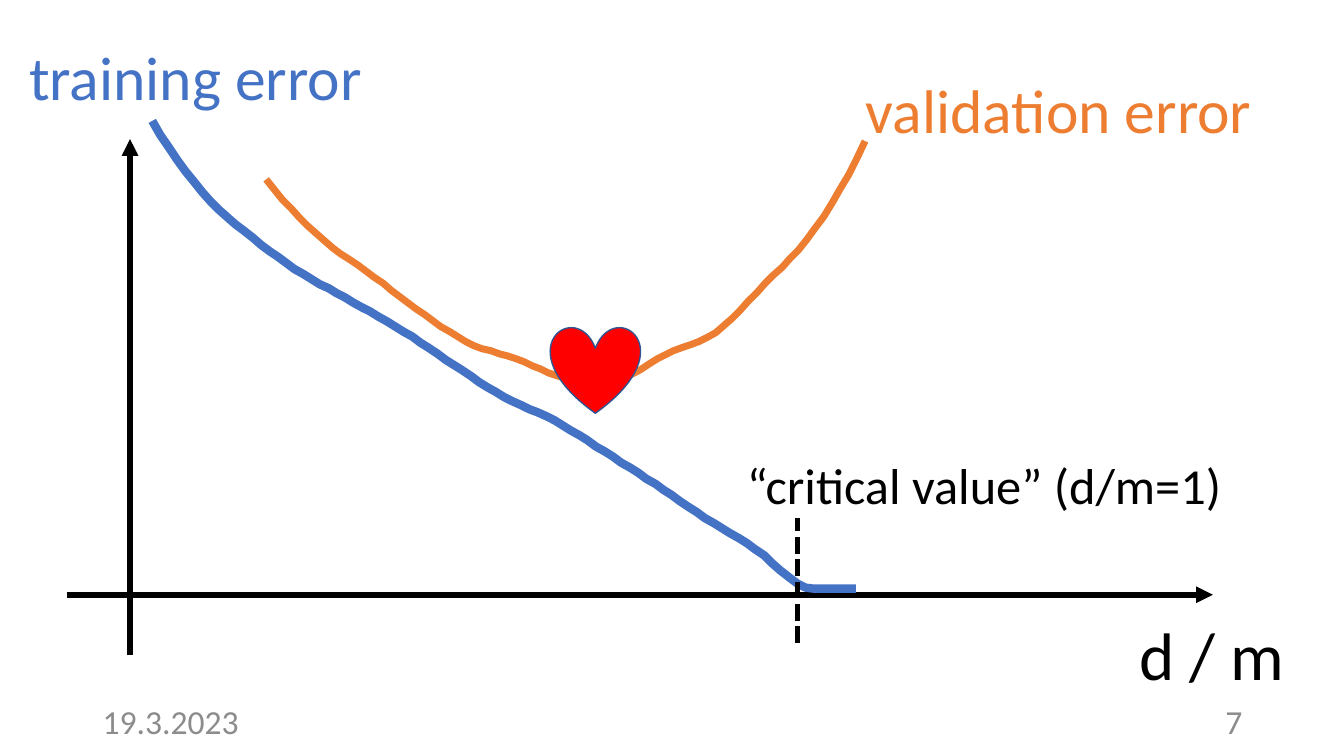
import lxml.etree
import pptx
import pptx.dml.color
import pptx.enum.dml
import pptx.enum.shapes
import pptx.enum.text
import pptx.oxml.ns
import pptx.util

UNIT = 9144  # grid step: a hundredth of an inch
BLACK, GREY, BLUE, ORANGE, RED = "000000", "8C8C8C", "4472C4", "ED7D31", "FF0000"
ALIGN = pptx.enum.text.PP_ALIGN

deck = pptx.Presentation()
deck.slide_width, deck.slide_height = 1333 * UNIT, 750 * UNIT
blank_layout = deck.slide_layouts[6]
shapes = deck.slides.add_slide(blank_layout).shapes


def paint(color_format, hex_color):
    color_format.rgb = pptx.dml.color.RGBColor.from_string(hex_color)


def add_black_line(start_x, start_y, end_x, end_y):
    """Add a straight 4 pt line without shadow, in grid steps."""
    line = shapes.add_connector(
        pptx.enum.shapes.MSO_CONNECTOR.STRAIGHT,
        start_x * UNIT, start_y * UNIT, end_x * UNIT, end_y * UNIT)
    paint(line.line.color, BLACK)
    line.line.width = pptx.util.Pt(4)
    lxml.etree.SubElement(line._element.spPr, pptx.oxml.ns.qn("a:effectLst"))
    return line


# Axes, with an arrowhead at the far end of each
origin_x, origin_y = 129, 590
complexity_axis = add_black_line(66, origin_y, 1203, origin_y)
error_axis = add_black_line(origin_x, 650, origin_x, 138)
for axis in (complexity_axis, error_axis):
    outline = axis.line._get_or_add_ln()
    lxml.etree.SubElement(outline, pptx.oxml.ns.qn("a:tailEnd"), type="triangle")

# Error curves: a few heights at equal steps from left to right, joined by a
# Catmull-Rom spline. Heights count downwards, and no curve sinks below zero_error.
zero_error = origin_y - 6
pieces_per_step = 6
training_heights = [120, 191, 236, 272, 300, 329, 362, 394,
                    417, 448, 480, 514, 545, 583, zero_error]
validation_heights = [178, 232, 269, 306, 339, 356, 375,
                      378, 352, 330, 281, 227, 140]

for heights, left, right, color, width in [
    (training_heights, 151, 849, BLUE, 6),
    (validation_heights, 264, 858, ORANGE, 5),
]:
    steps = len(heights) - 1
    step_width = (right - left) / steps
    # One extra height beyond each end continues the bend of the curve
    before = 3 * heights[0] - 3 * heights[1] + heights[2]
    after = 3 * heights[-1] - 3 * heights[-2] + heights[-3]
    extended = [before, *heights, after]

    points = [(left, heights[0])]
    for step in range(steps):
        previous, start, end, following = extended[step:step + 4]
        start_slope = (end - previous) / 2
        end_slope = (following - start) / 2
        for piece in range(1, pieces_per_step + 1):
            t = piece / pieces_per_step
            height = (start * (2 * t**3 - 3 * t**2 + 1)
                      + end * (3 * t**2 - 2 * t**3)
                      + start_slope * (t**3 - 2 * t**2 + t)
                      + end_slope * (t**3 - t**2))
            points.append((left + (step + t) * step_width, min(height, zero_error)))

    builder = shapes.build_freeform(*points[0], scale=UNIT)
    builder.add_line_segments(points[1:], close=False)
    curve = builder.convert_to_shape()
    curve.fill.background()
    paint(curve.line.color, color)
    curve.line.width = pptx.util.Pt(width)
    curve.shadow.inherit = False

# Heart on the lowest validation error
heart = shapes.add_shape(
    pptx.enum.shapes.MSO_SHAPE.HEART, 546 * UNIT, 324 * UNIT, 89 * UNIT, 86 * UNIT)
heart.fill.solid()
paint(heart.fill.fore_color, RED)
paint(heart.line.color, "325491")
heart.line.width = pptx.util.Pt(1)
heart.shadow.inherit = False

# Dashed mark where the training error reaches zero
critical_x = 791
critical_mark = add_black_line(critical_x, 638, critical_x, 514)
critical_mark.line.dash_style = pptx.enum.dml.MSO_LINE.SQUARE_DOT

# Labels at the curves and axes, then the footer
footer_top, footer_width, footer_height = 695, 300, 40
for words, left, top, width, height, size, color, align in [
    ("training error", 19, 34, 354, 84, 44, BLUE, ALIGN.LEFT),
    ("validation error", 849, 66, 408, 84, 44, ORANGE, ALIGN.LEFT),
    ("“critical value” (d/m=1)", 731, 446, 507, 71, 36, BLACK, ALIGN.LEFT),
    ("d / m", 1120, 604, 166, 91, 48, BLACK, ALIGN.LEFT),
    ("19.3.2023", 92, footer_top, footer_width, footer_height, 24, GREY, ALIGN.LEFT),
    ("7", 942, footer_top, footer_width, footer_height, 24, GREY, ALIGN.RIGHT),
]:
    label = shapes.add_textbox(left * UNIT, top * UNIT, width * UNIT, height * UNIT)
    frame = label.text_frame
    in_footer = top == footer_top
    frame.word_wrap = in_footer
    if in_footer:
        frame.vertical_anchor = pptx.enum.text.MSO_ANCHOR.MIDDLE
    paragraph = frame.paragraphs[0]
    paragraph.text = words
    paragraph.alignment = align
    paragraph.font.name = "Calibri"
    paragraph.font.size = pptx.util.Pt(size)
    paint(paragraph.font.color, color)

deck.save("out.pptx")
